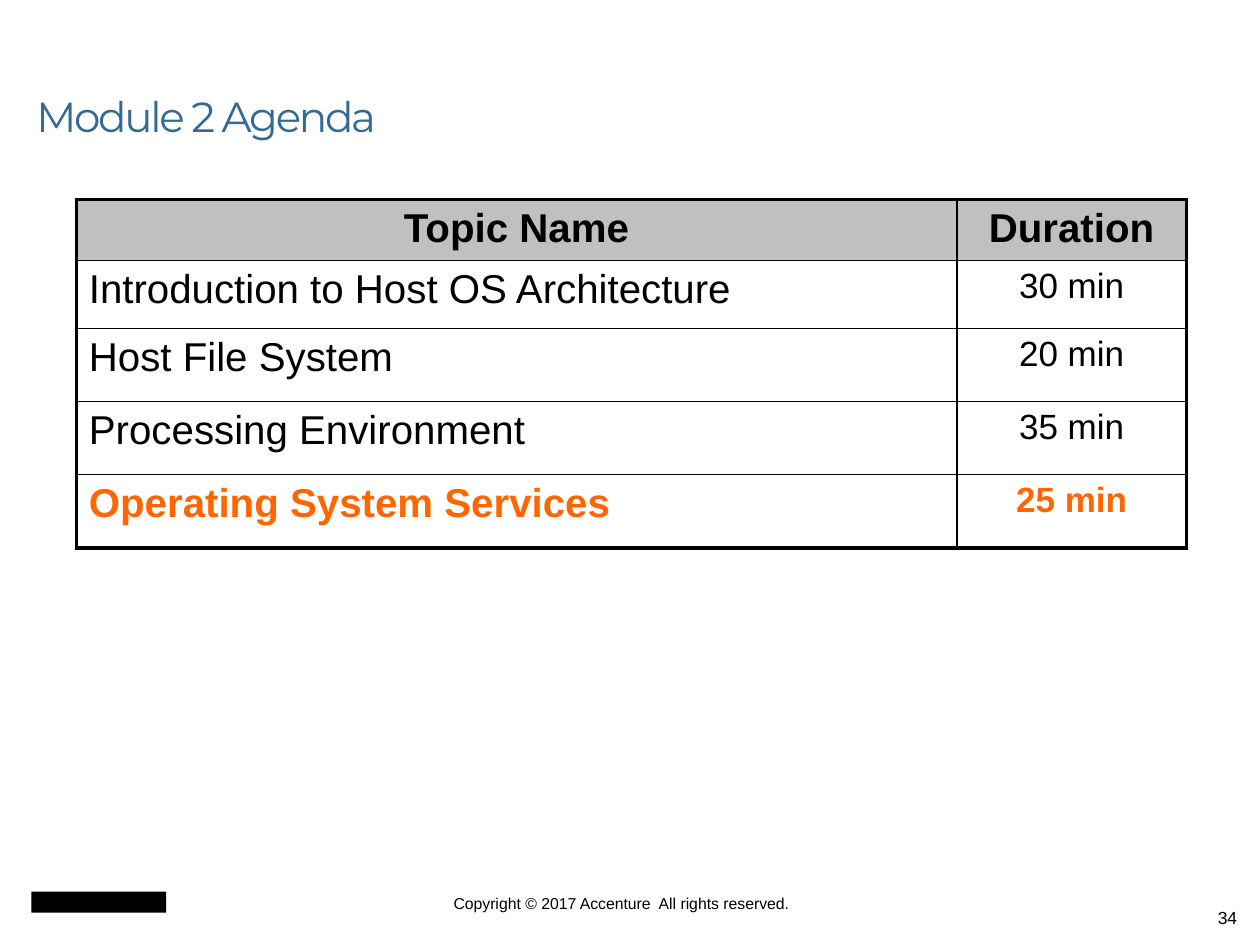
from pptx import Presentation
from pptx.dml.color import RGBColor
from pptx.enum.shapes import MSO_SHAPE as Shape
from pptx.enum.text import MSO_ANCHOR as Anchor, PP_ALIGN as Align
from pptx.oxml import parse_xml
from pptx.oxml.ns import nsdecls
from pptx.util import Pt

BLACK = RGBColor(0x00, 0x00, 0x00)
WHITE = RGBColor(0xFF, 0xFF, 0xFF)
SILVER = RGBColor(0xC0, 0xC0, 0xC0)
ORANGE = RGBColor(0xFF, 0x66, 0x00)
STEEL_BLUE = RGBColor(0x32, 0x6A, 0x94)

OUTER_LINE, INNER_LINE = 2.25, 1
COLUMN_WIDTHS = [503.3, 131]
ROW_HEIGHTS = [34.6, 38.9, 41.8, 41.8, 41.8]
AGENDA = [
    ("Topic Name", "Duration"),
    ("Introduction to Host OS Architecture", "30 min"),
    ("Host File System", "20 min"),
    ("Processing Environment", "35 min"),
    ("Operating System Services", "25 min"),
]


def write(frame, text, size, font="Arial", color=BLACK, bold=False,
          align=Align.LEFT, line_spacing=None, tracking=None):
    para = frame.paragraphs[0]
    para.alignment = align
    if line_spacing:
        para.line_spacing = line_spacing
    span = para.add_run()
    span.text = text
    span.font.size = Pt(size)
    span.font.name = font
    span.font.bold = bold
    span.font.color.rgb = color
    if tracking:
        span._r.get_or_add_rPr().set("spc", str(round(tracking * 100)))


def add_text(page, box, text, size, anchor=Anchor.TOP, inset=True, **style):
    frame = page.shapes.add_textbox(*map(Pt, box)).text_frame
    frame.word_wrap = True
    frame.vertical_anchor = anchor
    if not inset:
        frame.margin_left = frame.margin_right = 0
        frame.margin_top = frame.margin_bottom = 0
    write(frame, text, size, **style)


def set_borders(cell, **widths):
    properties = cell._tc.get_or_add_tcPr()
    for position, side in enumerate("LRTB"):
        properties.insert(position, parse_xml(
            f'<a:ln{side} {nsdecls("a")} w="{Pt(widths[side])}">'
            f'<a:solidFill><a:srgbClr val="{BLACK}"/></a:solidFill></a:ln{side}>'))


def add_agenda(page, box):
    last_row, last_column = len(AGENDA) - 1, len(COLUMN_WIDTHS) - 1
    table = page.shapes.add_table(
        len(AGENDA), len(COLUMN_WIDTHS), *map(Pt, box)).table
    for column, width in zip(table.columns, COLUMN_WIDTHS):
        column.width = Pt(width)
    for row, height in zip(table.rows, ROW_HEIGHTS):
        row.height = Pt(height)

    for r, topic in enumerate(AGENDA):
        header, current = r == 0, r == last_row
        for c, text in enumerate(topic):
            cell = table.cell(r, c)
            cell.fill.solid()
            cell.fill.fore_color.rgb = SILVER if header else WHITE
            set_borders(
                cell,
                L=OUTER_LINE if c == 0 else INNER_LINE,
                R=OUTER_LINE if c == last_column else INNER_LINE,
                T=OUTER_LINE if header else INNER_LINE,
                B=OUTER_LINE if current else INNER_LINE)
            write(cell.text_frame, text,
                  size=23 if header or c == 0 else 20,
                  color=ORANGE if current else BLACK,
                  bold=header or current,
                  align=Align.CENTER if header or c else Align.LEFT)


def add_footer(page, box):
    left, top, width, height = box
    mark = page.shapes.add_shape(
        Shape.RECTANGLE, Pt(left + 18), Pt(top + 9), Pt(77), Pt(12))
    mark.shadow.inherit = False
    mark.fill.solid()
    mark.fill.fore_color.rgb = BLACK
    mark.line.fill.background()
    add_text(page, (left + 198, top + 10.5, 314, 11),
             "Copyright © 2017 Accenture  All rights reserved.", 9,
             inset=False, align=Align.CENTER)
    add_text(page, (left + width - 174, top + 14, 168, height - 14),
             "34", 10, align=Align.RIGHT)


def main():
    deck = Presentation()
    deck.slide_width, deck.slide_height = Pt(720), Pt(540)
    page = deck.slides.add_slide(deck.slide_layouts[6])
    add_text(page, (13.7, 12.2, 642, 72), "Module 2 Agenda", 24,
             anchor=Anchor.BOTTOM, font="Montserrat", color=STEEL_BLUE,
             line_spacing=0.9, tracking=-1.3)
    add_agenda(page, (43.6, 114, sum(COLUMN_WIDTHS), sum(ROW_HEIGHTS)))
    add_footer(page, (0, 500.5, 720, 39.5))
    deck.save("out.pptx")


if __name__ == "__main__":
    main()
